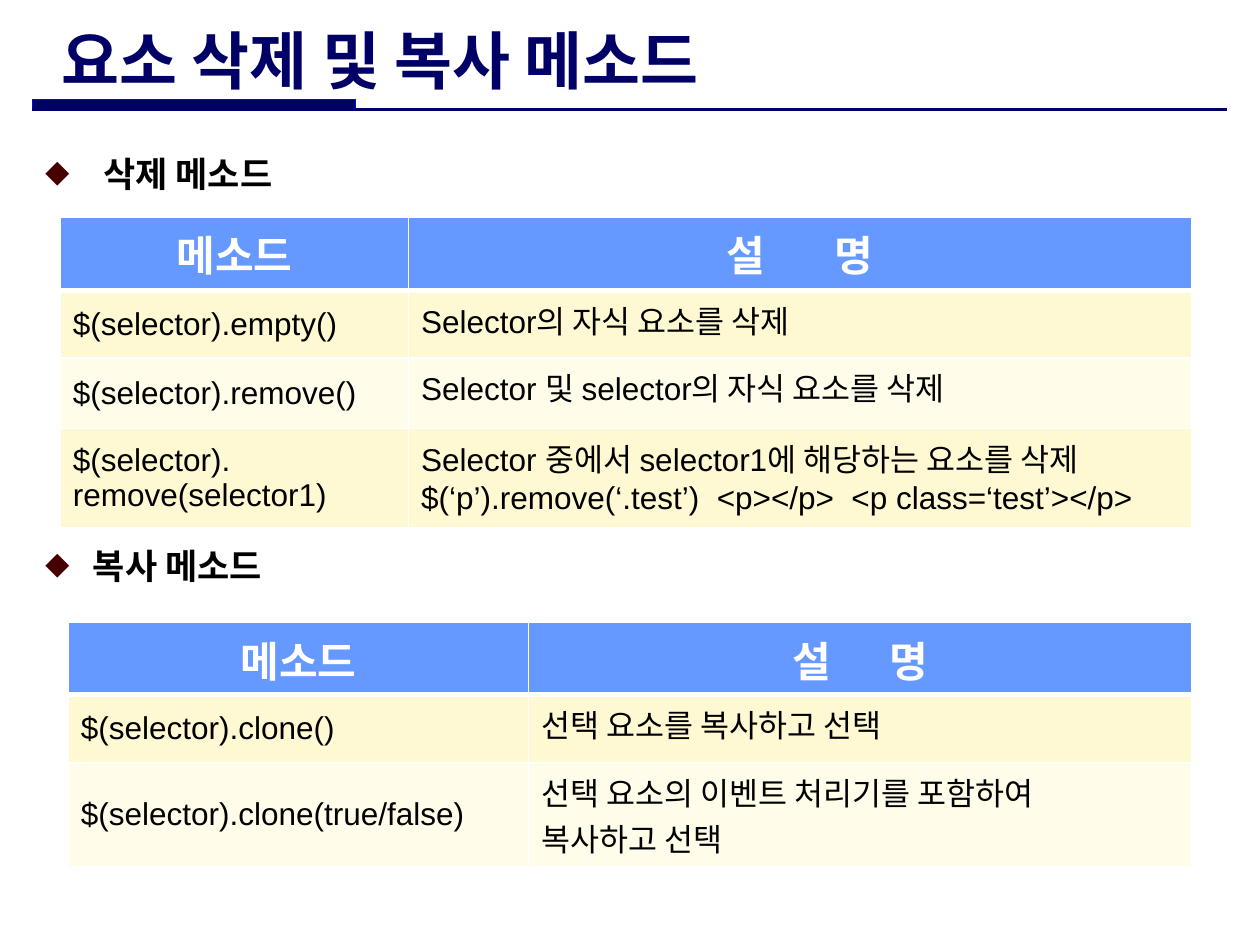
from dataclasses import dataclass

from lxml import etree
from pptx import Presentation
from pptx.dml.color import RGBColor
from pptx.enum.shapes import MSO_CONNECTOR, MSO_SHAPE
from pptx.enum.text import MSO_ANCHOR, MSO_AUTO_SIZE, PP_ALIGN
from pptx.oxml.ns import qn
from pptx.util import Pt

RECTANGLE = MSO_SHAPE.RECTANGLE
STRAIGHT = MSO_CONNECTOR.STRAIGHT
MIDDLE, TOP = MSO_ANCHOR.MIDDLE, MSO_ANCHOR.TOP
LEFT, CENTER = PP_ALIGN.LEFT, PP_ALIGN.CENTER
NO_AUTOFIT = MSO_AUTO_SIZE.NONE
TITLE_ONLY = 5


@dataclass(frozen=True)
class Theme:
    """Colours, fonts and type sizes of the slide."""

    navy: str = "000066"
    blue: str = "0000FF"
    bullet: str = "460000"
    black: str = "000000"
    white: str = "FFFFFF"
    header: str = "6699FF"
    bands: tuple = ("FFF9D3", "FFFCEA")
    display: str = "Comic Neue"
    latin: str = "Arial"
    korean: str = "Noto Sans CJK KR"
    title_size: int = 36
    header_size: int = 24
    heading_size: int = 20
    body_size: int = 18


THEME = Theme()

REMOVE_ROWS = [
    ("$(selector).empty()", "Selector의 자식 요소를 삭제"),
    ("$(selector).remove()", "Selector 및 selector의 자식 요소를 삭제"),
    ("$(selector).\nremove(selector1)",
     "Selector 중에서 selector1에 해당하는 요소를 삭제\n"
     "$(‘p’).remove(‘.test’)  <p></p>  <p class=‘test’></p>"),
]
CLONE_ROWS = [
    ("$(selector).clone()", "선택 요소를 복사하고 선택"),
    ("$(selector).clone(true/false)",
     "선택 요소의 이벤트 처리기를 포함하여\n복사하고 선택"),
]


def rgb(color):
    """Turn a hex string into a colour."""
    return RGBColor.from_string(color)


def format_text(text_frame, font, size, color, bold=False, align=LEFT):
    """Format every paragraph and run of a text frame."""
    for paragraph in text_frame.paragraphs:
        paragraph.alignment = align
        for run in paragraph.runs:
            run.font.name = font
            run.font.size = Pt(size)
            run.font.bold = bold
            run.font.color.rgb = rgb(color)
            east_asian = etree.SubElement(run.font._element, qn("a:ea"))
            east_asian.set("typeface", THEME.korean)


def add_title(slide, text, left, top, width, height):
    """Place and format the title placeholder."""
    title = slide.shapes.title
    title.left, title.top = Pt(left), Pt(top)
    title.width, title.height = Pt(width), Pt(height)
    text_frame = title.text_frame
    text_frame.text = text
    text_frame.auto_size = NO_AUTOFIT
    text_frame.vertical_anchor = MIDDLE
    format_text(text_frame, THEME.display, THEME.title_size, THEME.navy, True)


def add_title_rule(slide, left, top, width, bar_width, bar_height):
    """Draw the thick bar and thin line under the title."""
    bar = slide.shapes.add_shape(
        RECTANGLE, Pt(left), Pt(top), Pt(bar_width), Pt(bar_height))
    bar.shadow.inherit = False
    bar.fill.solid()
    bar.fill.fore_color.rgb = rgb(THEME.navy)
    bar.line.color.rgb = rgb(THEME.blue)
    bar.line.width = Pt(0.75)
    line_top = Pt(top + bar_height - 0.75)
    line = slide.shapes.add_connector(
        STRAIGHT, Pt(left), line_top, Pt(left + width), line_top)
    line.line.color.rgb = rgb(THEME.navy)
    line.line.width = Pt(1.5)
    etree.SubElement(line._element.spPr, qn("a:effectLst"))


def add_heading(slide, text, left, top, width, height, indent):
    """Add a section heading with a diamond bullet."""
    box = slide.shapes.add_textbox(Pt(left), Pt(top), Pt(width), Pt(height))
    text_frame = box.text_frame
    text_frame.word_wrap = True
    text_frame.margin_top = text_frame.margin_bottom = 0
    text_frame.text = text
    format_text(text_frame, THEME.korean, THEME.heading_size, THEME.black, True)
    properties = text_frame.paragraphs[0]._p.get_or_add_pPr()
    properties.set("marL", str(Pt(indent)))
    properties.set("indent", str(-Pt(indent)))
    color = etree.SubElement(properties, qn("a:buClr"))
    etree.SubElement(color, qn("a:srgbClr")).set("val", THEME.bullet)
    etree.SubElement(properties, qn("a:buSzPct")).set("val", "70000")
    etree.SubElement(properties, qn("a:buFont")).set("typeface", THEME.korean)
    etree.SubElement(properties, qn("a:buChar")).set("char", "◆")


def set_borders(cell, top, bottom):
    """Give a cell white borders, ahead of its fill."""
    properties = cell._tc.get_or_add_tcPr()
    widths = {"a:lnL": 1, "a:lnR": 1, "a:lnT": top, "a:lnB": bottom}
    for index, (tag, width) in enumerate(widths.items()):
        border = etree.Element(qn(tag))
        border.set("w", str(Pt(width)))
        fill = etree.SubElement(border, qn("a:solidFill"))
        etree.SubElement(fill, qn("a:srgbClr")).set("val", THEME.white)
        properties.insert(index, border)


def style_cell(cell, fill, anchor, top=1, bottom=1):
    """Set the fill, anchor and borders of a cell."""
    cell.fill.solid()
    cell.fill.fore_color.rgb = rgb(fill)
    cell.vertical_anchor = anchor
    set_borders(cell, top, bottom)


def add_method_table(slide, rows, left, top, widths, heights, font, tracking):
    """Add a table of methods and their descriptions."""
    table = slide.shapes.add_table(
        len(heights), len(widths), Pt(left), Pt(top),
        Pt(sum(widths)), Pt(sum(heights))).table
    for column, width in zip(table.columns, widths):
        column.width = Pt(width)
    for row, height in zip(table.rows, heights):
        row.height = Pt(height)

    for column, parts in enumerate((["메소드"], ["설 ", "명"])):
        cell = table.cell(0, column)
        paragraph = cell.text_frame.paragraphs[0]
        for part in parts:
            paragraph.add_run().text = part
        format_text(cell.text_frame, font, THEME.header_size, THEME.white,
                    True, CENTER)
        if len(parts) > 1:
            paragraph.runs[0].font._element.set("spc", str(tracking * 100))
        style_cell(cell, THEME.header, TOP, bottom=3)

    for index, texts in enumerate(rows, start=1):
        band = THEME.bands[(index - 1) % len(THEME.bands)]
        for column, (text, anchor) in enumerate(zip(texts, (MIDDLE, TOP))):
            cell = table.cell(index, column)
            cell.text_frame.text = text
            format_text(cell.text_frame, THEME.latin, THEME.body_size,
                        THEME.black)
            style_cell(cell, band, anchor, top=3 if index == 1 else 1)


def main():
    """Build the slide and save it."""
    presentation = Presentation()
    presentation.slide_width, presentation.slide_height = Pt(720), Pt(540)
    layout = presentation.slide_layouts[TITLE_ONLY]
    slide = presentation.slides.add_slide(layout)
    add_title_rule(slide, 18.5, 57, 682.5, 184.5, 6.25)
    add_title(slide, "요소 삭제 및 복사 메소드", 28, 15, 489, 37.5)
    add_heading(slide, "삭제 메소드", 19, 87, 679, 30, 33)
    add_method_table(slide, REMOVE_ROWS, 34.5, 124, (199, 447.5),
                     (42, 38.5, 40.5, 56.5), THEME.latin, 17)
    add_heading(slide, "복사 메소드", 19, 311, 679, 30, 27)
    add_method_table(slide, CLONE_ROWS, 39, 355.5, (263, 379),
                     (41.5, 39, 59.5), THEME.display, 14)
    presentation.save("out.pptx")


if __name__ == "__main__":
    main()
